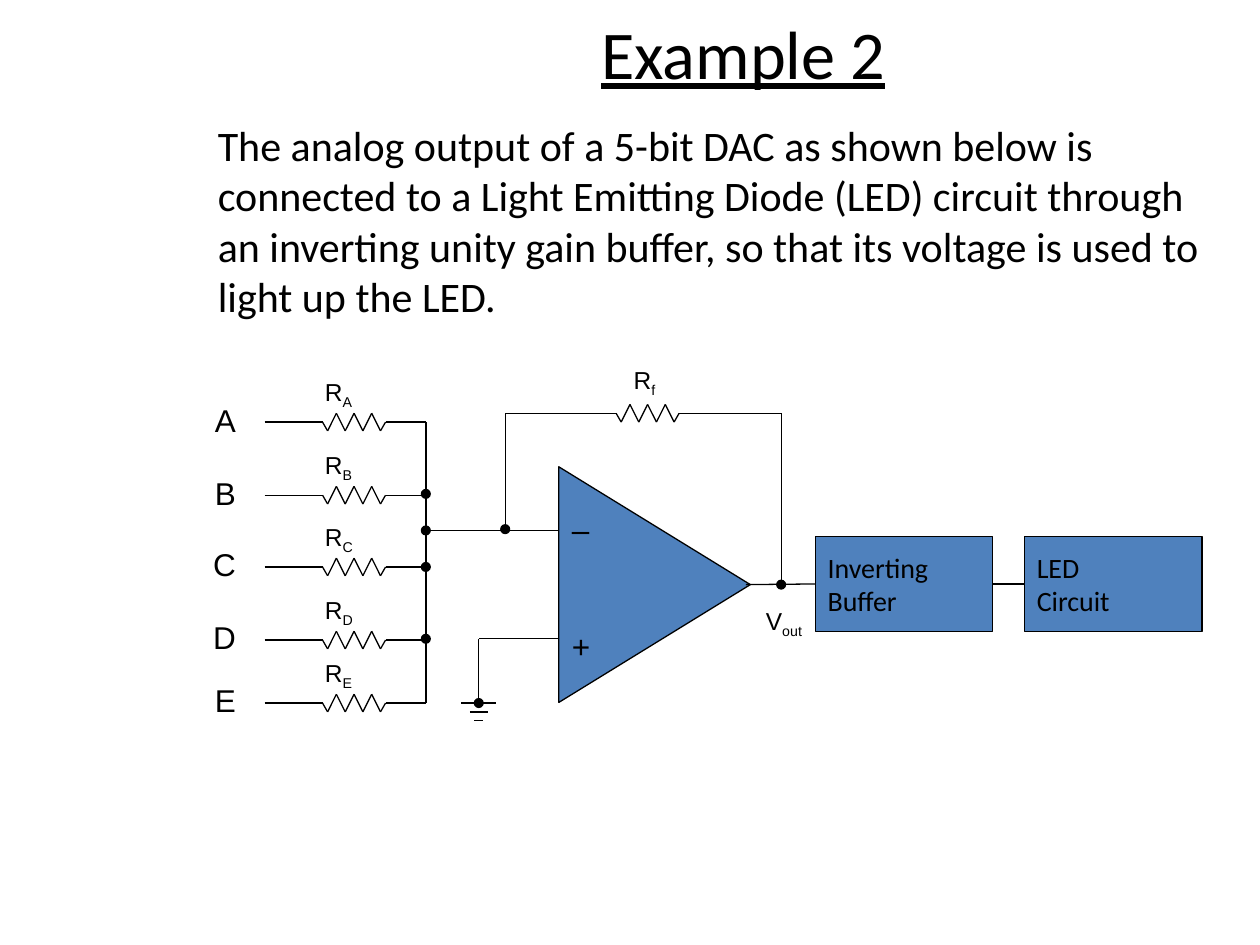
from itertools import pairwise

from lxml import etree
from pptx import Presentation
from pptx.dml.color import RGBColor
from pptx.enum import shapes, text
from pptx.oxml.ns import qn
from pptx.util import Inches, Pt

# Content
TITLE = "Example 2"
BODY = ("The analog output of a 5-bit DAC as shown below is connected to a "
        "Light Emitting Diode (LED) circuit through an inverting unity gain "
        "buffer, so that its voltage is used to light up the LED.")
INPUTS = [("A", 3.35), ("B", 3.93), ("C", 4.5), ("D", 5.08), ("E", 5.58)]
STAGES = [(["Inverting", "Buffer"], 6.47), (["LED", "Circuit"], 8.13)]
COLORS = {"ink": "000000", "paper": "FFFFFF", "part": "4F81BD"}

# Circuit coordinates in inches
INPUT_X, BUS_X, GROUND_X, FEEDBACK_X, AMP_X, OUT_X = 2.1, 3.38, 3.8, 4.01, 4.44, 6.2
FEEDBACK_Y, MINUS_Y, OUT_Y, PLUS_Y, GROUND_Y = 3.28, 4.21, 4.64, 5.07, 5.58
WIRES = [
    [(BUS_X, INPUTS[0][1]), (BUS_X, INPUTS[-1][1])],
    [(BUS_X, MINUS_Y), (AMP_X, MINUS_Y)],
    [(FEEDBACK_X, MINUS_Y), (FEEDBACK_X, FEEDBACK_Y), (4.79, FEEDBACK_Y)],
    [(5.49, FEEDBACK_Y), (OUT_X, FEEDBACK_Y), (OUT_X, OUT_Y)],
    [(AMP_X, PLUS_Y), (GROUND_X, PLUS_Y), (GROUND_X, GROUND_Y)],
]
NODES = [(BUS_X, 3.92), (BUS_X, MINUS_Y), (BUS_X, 4.5), (BUS_X, PLUS_Y),
         (FEEDBACK_X, 4.2), (OUT_X, OUT_Y), (GROUND_X, GROUND_Y)]
GROUND_BARS = [0.14, 0.07, 0.035]  # half widths, top to bottom
LABELS = [("R", "f", 4.93, 2.85), ("V", "out", 5.98, 4.76)]

deck = Presentation()
deck.slide_width, deck.slide_height = Inches(10), Inches(7.5)
page = deck.slides.add_slide(deck.slide_layouts[5])


def rgb(name):
    return RGBColor.from_string(COLORS[name])


def write(para, words, size, face, sub=False):
    span = para.add_run()
    span.text = words
    span.font.size, span.font.name = Pt(size), face
    span.font.color.rgb = rgb("ink")
    if sub:
        span.font._element.set("baseline", "-25000")
    return span


def add_label(x, y, width, height, size, words, sub=""):
    box = page.shapes.add_textbox(Inches(x), Inches(y), Inches(width), Inches(height))
    box.text_frame.word_wrap = True
    para = box.text_frame.paragraphs[0]
    write(para, words, size, "Arial")
    if sub:
        write(para, sub, size, "Arial", sub=True)
    return para


def add_part(kind, x, y, width, height, fill, outlined=True):
    part = page.shapes.add_shape(kind, Inches(x), Inches(y), Inches(width), Inches(height))
    part.shadow.inherit = False
    part.fill.solid()
    part.fill.fore_color.rgb = rgb(fill)
    if outlined:
        part.line.color.rgb, part.line.width = rgb("ink"), Pt(0.75)
    else:
        part.line.fill.background()
    part.text_frame.word_wrap = True
    return part


def add_wire(start, end):
    wire = page.shapes.add_connector(shapes.MSO_CONNECTOR.STRAIGHT,
                                     *(Inches(v) for v in (*start, *end)))
    wire.line.color.rgb, wire.line.width = rgb("ink"), Pt(0.75)
    etree.SubElement(wire._element.spPr, qn("a:effectLst"))
    return wire


def add_path(points):
    for start, end in pairwise(points):
        add_wire(start, end)


def add_resistor(x, y):
    """Zigzag 0.7 wide, with a short lead at each end."""
    teeth = [(x + 0.14 + 0.07 * i, y + (-0.07 if i % 2 else 0.07)) for i in range(7)]
    add_path([(x, y), (x + 0.1, y), *teeth, (x + 0.6, y), (x + 0.7, y)])


# Title and question
title = page.shapes.title
title.left, title.top, title.width, title.height = (Inches(v) for v in (1.8, 0, 8.2, 0.83))
title.text_frame.vertical_anchor = text.MSO_ANCHOR.MIDDLE
heading = title.text_frame.paragraphs[0]
heading.alignment = text.PP_ALIGN.CENTER
write(heading, TITLE, 39, "Calibri").font.underline = True

question = add_part(shapes.MSO_SHAPE.RECTANGLE, 1.63, 0.9, 7.99, 1.7, "paper", False)
question.text_frame.vertical_anchor = text.MSO_ANCHOR.TOP
question.text_frame.paragraphs[0].alignment = text.PP_ALIGN.LEFT
write(question.text_frame.paragraphs[0], BODY, 24, "Calibri")

# Op-amp
amp = add_part(shapes.MSO_SHAPE.ISOSCELES_TRIANGLE, 4.26, 3.88, 1.87, 1.52, "part")
amp.rotation = 90
for sign, y in [("+", 4.93), ("–", 4)]:
    add_label(AMP_X, y, 0.35, 0.4, 18, sign)

# Wires, feedback resistor and ground
for points in WIRES:
    add_path(points)
add_resistor(4.79, FEEDBACK_Y)
for i, half in enumerate(GROUND_BARS):
    y = GROUND_Y + 0.07 * i
    add_wire((GROUND_X - half, y), (GROUND_X + half, y))

# Input branches
for name, y in INPUTS:
    add_label(1.33, y - 0.22, 0.64, 0.4, 18, name).alignment = text.PP_ALIGN.RIGHT
    add_wire((INPUT_X, y), (2.46, y))
    add_resistor(2.46, y)
    add_wire((3.16, y), (BUS_X, y))
    add_label(2.48, y - 0.41, 0.55, 0.33, 14, "R", name)

for words, sub, x, y in LABELS:
    add_label(x, y, 0.57, 0.33, 14, words, sub)
for x, y in NODES:
    add_part(shapes.MSO_SHAPE.OVAL, x - 0.035, y - 0.035, 0.07, 0.07, "ink")

# Output stages
blocks = []
for lines, x in STAGES:
    block = add_part(shapes.MSO_SHAPE.RECTANGLE, x, 4.26, 1.41, 0.75, "part")
    frame = block.text_frame
    frame.vertical_anchor = text.MSO_ANCHOR.MIDDLE
    for i, words in enumerate(lines):
        para = frame.add_paragraph() if i else frame.paragraphs[0]
        para.alignment = text.PP_ALIGN.LEFT
        write(para, words, 16, "Calibri")
    blocks.append(block)
buffer, led = blocks
add_wire((5.92, OUT_Y), (6.47, OUT_Y)).end_connect(buffer, 1)
link = add_wire((7.88, OUT_Y), (8.13, OUT_Y))
link.begin_connect(buffer, 3)
link.end_connect(led, 1)

deck.save("out.pptx")
